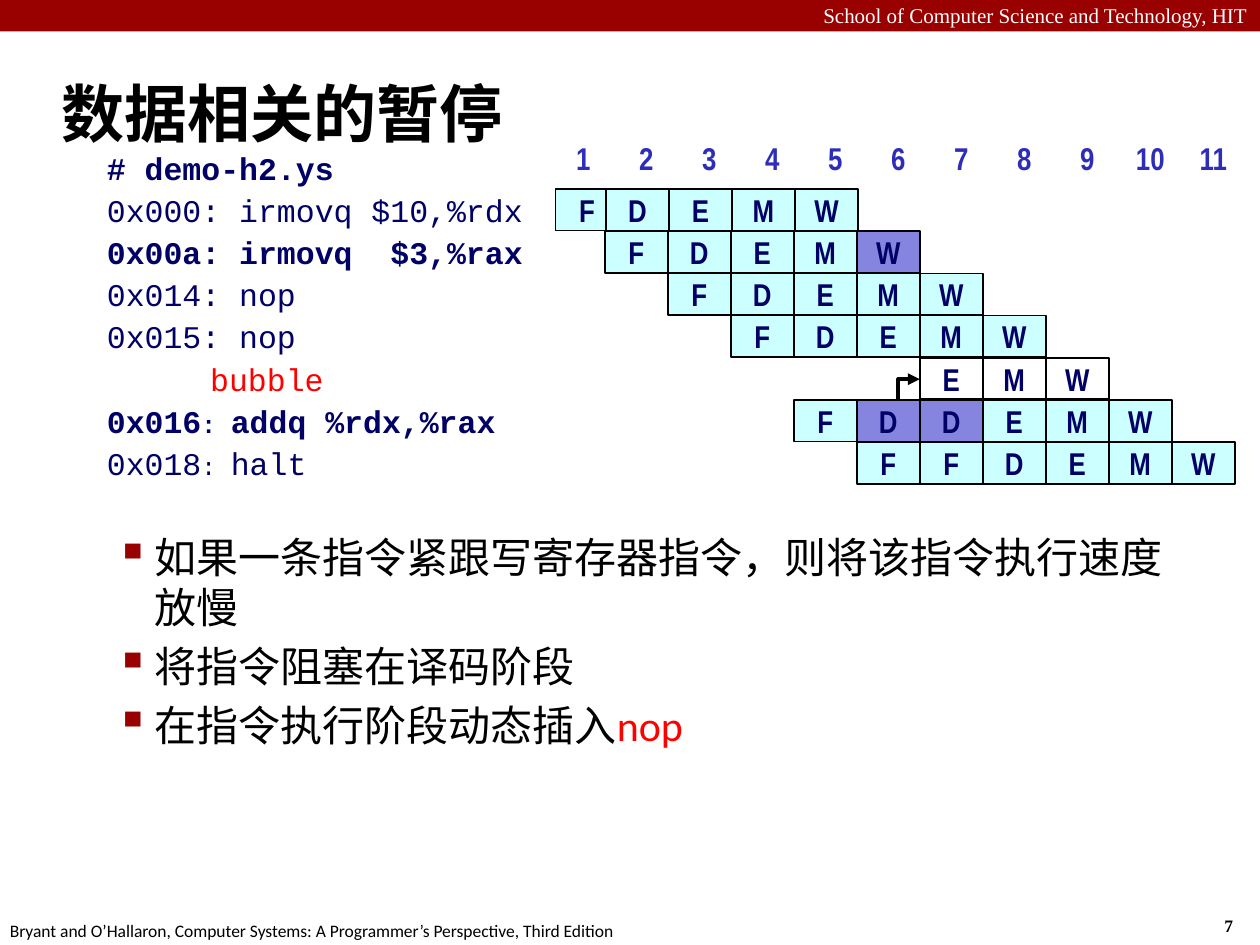
from lxml import etree
from pptx import Presentation
from pptx.dml import color
from pptx.enum import shapes, text
from pptx.oxml import ns
from pptx.util import Inches, Pt

HUES = {"bar": "990000", "ink": "000000", "paper": "FFFFFF", "navy": "000066",
        "blue": "2D2DB9", "cyan": "CCFFFF", "violet": "8585E0", "red": "FF0000"}
LEFT, MID, RIGHT = text.PP_ALIGN.LEFT, text.PP_ALIGN.CENTER, text.PP_ALIGN.RIGHT
WIDE, HIGH, TOP = 0.5, 0.33, 1.5
STEP = 0.335


class Deck:
    """Holds the style and the current slide, and draws each kind of element."""

    def __init__(self):
        self.show = Presentation()
        self.show.slide_width, self.show.slide_height = Inches(10), Inches(7.5)
        self.page = self.show.slides.add_slide(self.show.slide_layouts[6])

    def hue(self, name):
        return color.RGBColor.from_string(HUES[name])

    def letter(self, para, runs, face, size, ink, bold=False, align=LEFT):
        para.alignment = align
        para.text = runs[0][0]
        for words, *_ in runs[1:]:
            para.add_run().text = words
        for run, (_, *look) in zip(para.runs, runs):
            style = look[0] if look else {}
            run.font.name = face
            run.font.size = Pt(style.get("size", size))
            run.font.bold = bold
            run.font.color.rgb = self.hue(style.get("ink", ink))

    def label(self, box, words, face, size, ink="ink", bold=False,
              align=LEFT, wrap=True, anchor=text.MSO_ANCHOR.TOP):
        item = self.page.shapes.add_textbox(*map(Inches, box))
        frame = item.text_frame
        frame.word_wrap, frame.vertical_anchor = wrap, anchor
        self.letter(frame.paragraphs[0], [(words,)], face, size, ink, bold, align)

    def rect(self, box, fill=None, edge=False):
        item = self.page.shapes.add_shape(shapes.MSO_SHAPE.RECTANGLE, *map(Inches, box))
        item.shadow.inherit = False
        if fill:
            item.fill.solid()
            item.fill.fore_color.rgb = self.hue(fill)
        else:
            item.fill.background()
        if edge:
            item.line.color.rgb, item.line.width = self.hue("ink"), Pt(1)
        else:
            item.line.fill.background()
        return item

    def cell(self, box, runs, fill="paper", edge=False, face="Arial Narrow",
             ink="navy", bold=True, align=MID):
        frame = self.rect(box, fill, edge).text_frame
        frame.word_wrap = False
        frame.vertical_anchor = text.MSO_ANCHOR.MIDDLE
        para = frame.paragraphs[0]
        self.letter(para, runs, face, 18, ink, bold, align)
        return para

    def code(self, row, runs, bold=False, ink="navy", inset=0):
        para = self.cell((0.75, TOP + row * STEP, 2.84, HIGH), runs,
                         face="Courier New", ink=ink, bold=bold, align=LEFT)
        if inset:
            para._p.get_or_add_pPr().set("marL", str(Inches(inset)))

    def stages(self, row, left, names, fill="cyan", dark=()):
        for i, name in enumerate(names):
            self.cell((left + i * WIDE, TOP + row * STEP, WIDE, HIGH), [(name,)],
                      "violet" if i in dark else fill, True)

    def arrow(self, points):
        (x, y), *rest = [(Inches(a), Inches(b)) for a, b in points]
        route = self.page.shapes.build_freeform(x, y)
        route.add_line_segments(rest, close=False)
        item = route.convert_to_shape()
        item.shadow.inherit = False
        item.fill.background()
        item.line.color.rgb, item.line.width = self.hue("ink"), Pt(2.25)
        edge = item._element.spPr.find(ns.qn("a:ln"))
        etree.SubElement(edge, ns.qn("a:tailEnd"), type="triangle")

    def bullets(self, box, items):
        frame = self.page.shapes.add_textbox(*map(Inches, box)).text_frame
        frame.word_wrap = True
        for i, runs in enumerate(items):
            para = frame.add_paragraph() if i else frame.paragraphs[0]
            self.letter(para, runs, "Calibri", 24, "ink")
            para.space_before = Pt(4.8)
            props = para._p.get_or_add_pPr()
            props.set("marL", str(Inches(0.81)))
            props.set("indent", str(Inches(-0.31)))
            tint = etree.SubElement(props, ns.qn("a:buClr"))
            etree.SubElement(tint, ns.qn("a:srgbClr"), val=HUES["bar"])
            etree.SubElement(props, ns.qn("a:buSzPct"), val="110000")
            etree.SubElement(props, ns.qn("a:buChar"), char="▪")


def main():
    deck = Deck()
    deck.rect((0, 0, 10, 0.25), "bar")
    deck.label((0, -0.03, 10, 0.3), "School of Computer Science and Technology, HIT",
               "Times New Roman", 12, "paper", align=RIGHT)
    deck.label((9.62, 7.21, 0.37, 0.27), "7", "Times New Roman", 10, bold=True, wrap=False)
    deck.label((-0.02, 7.25, 5.08, 0.27),
               "Bryant and O’Hallaron, Computer Systems: A Programmer’s Perspective, Third Edition",
               "Calibri", 10, wrap=False)
    deck.label((0.39, 0.48, 9.61, 0.83), "数据相关的暂停", "Calibri", 36, bold=True,
               anchor=text.MSO_ANCHOR.MIDDLE)
    deck.bullets((0.32, 4.17, 9.08, 2.87), [
        [("如果一条指令紧跟写寄存器指令，则将该指令执行速度放慢",)],
        [("将指令阻塞在译码阶段",)],
        [("在指令执行阶段动态插入",), ("nop", {"ink": "red"})],
    ])

    colon = (": ", {"size": 14})
    deck.code(-1, [("# demo-h2.ys",)], bold=True)
    deck.code(0, [("0x000: irmovq $10,%rdx",)])
    deck.code(1, [("0x00a: irmovq  $3,%rax",)], bold=True)
    deck.code(2, [("0x014: nop",)])
    deck.code(3, [("0x015: nop",)])
    deck.code(4, [("bubble",)], ink="red", inset=0.82)
    deck.code(5, [("0x016",), colon, ("addq %rdx,%rax",)], bold=True)
    deck.code(6, [("0x018",), colon, ("halt",)])

    for i in range(11):
        deck.cell((4.38 + i * WIDE, 1.09, WIDE, HIGH), [(str(i + 1),)], ink="blue")

    deck.stages(0, 4.41, "F")
    deck.stages(0, 4.81, "DEMW")
    deck.stages(1, 4.8, "FDEMW", dark=(4,))
    deck.stages(2, 5.3, "FDEMW")
    deck.stages(3, 5.8, "FDEMW")
    deck.stages(4, 7.3, "EMW", fill=None)
    deck.stages(5, 6.3, "FDDEMW", dark=(1, 2))
    deck.stages(6, 6.8, "FFDEMW")
    deck.arrow([(7.13, 3.17), (7.13, 3.01), (7.3, 3.01)])
    deck.show.save("out.pptx")


if __name__ == "__main__":
    main()
